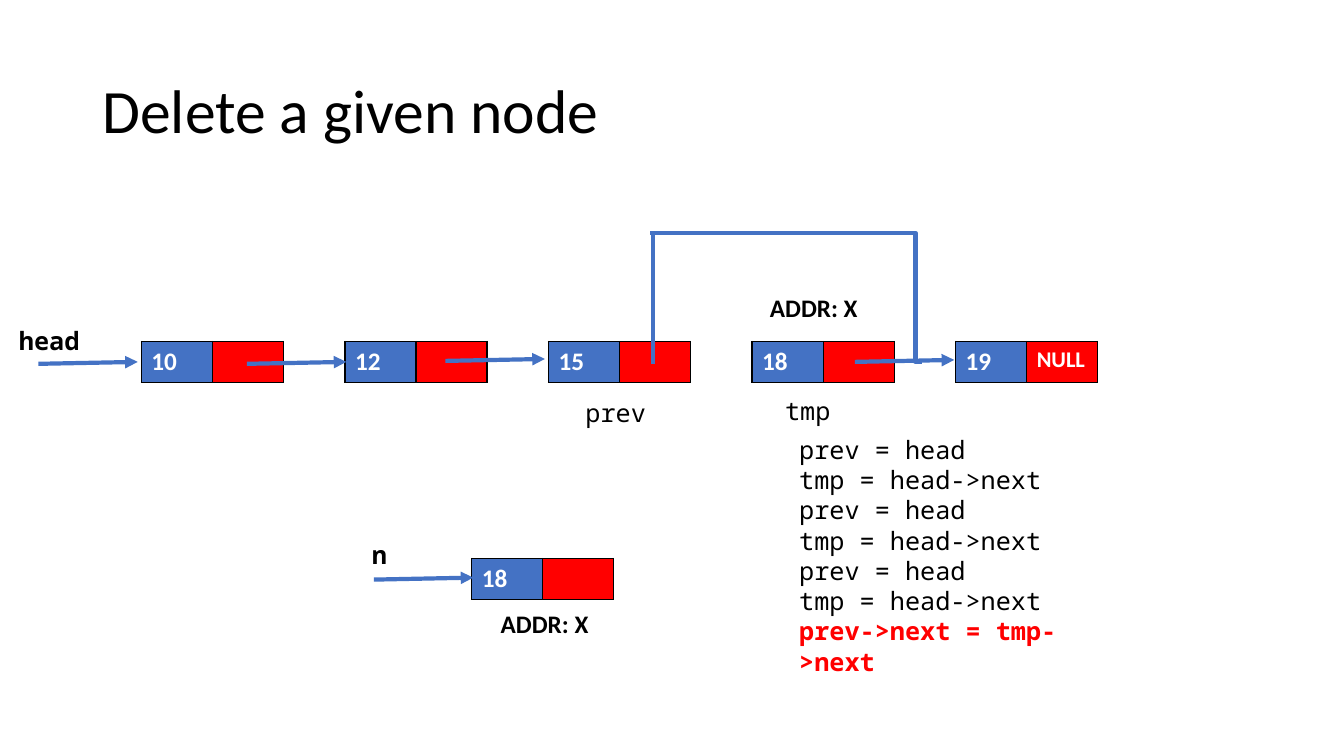
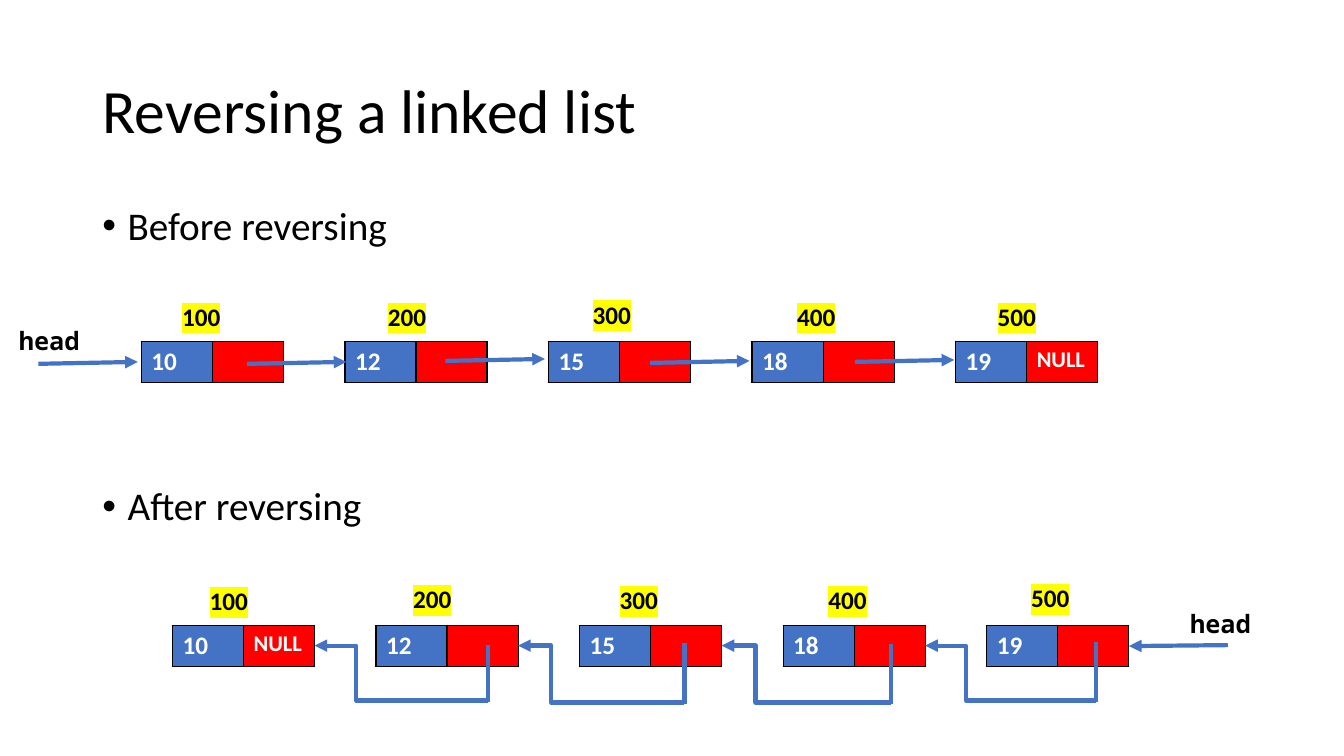
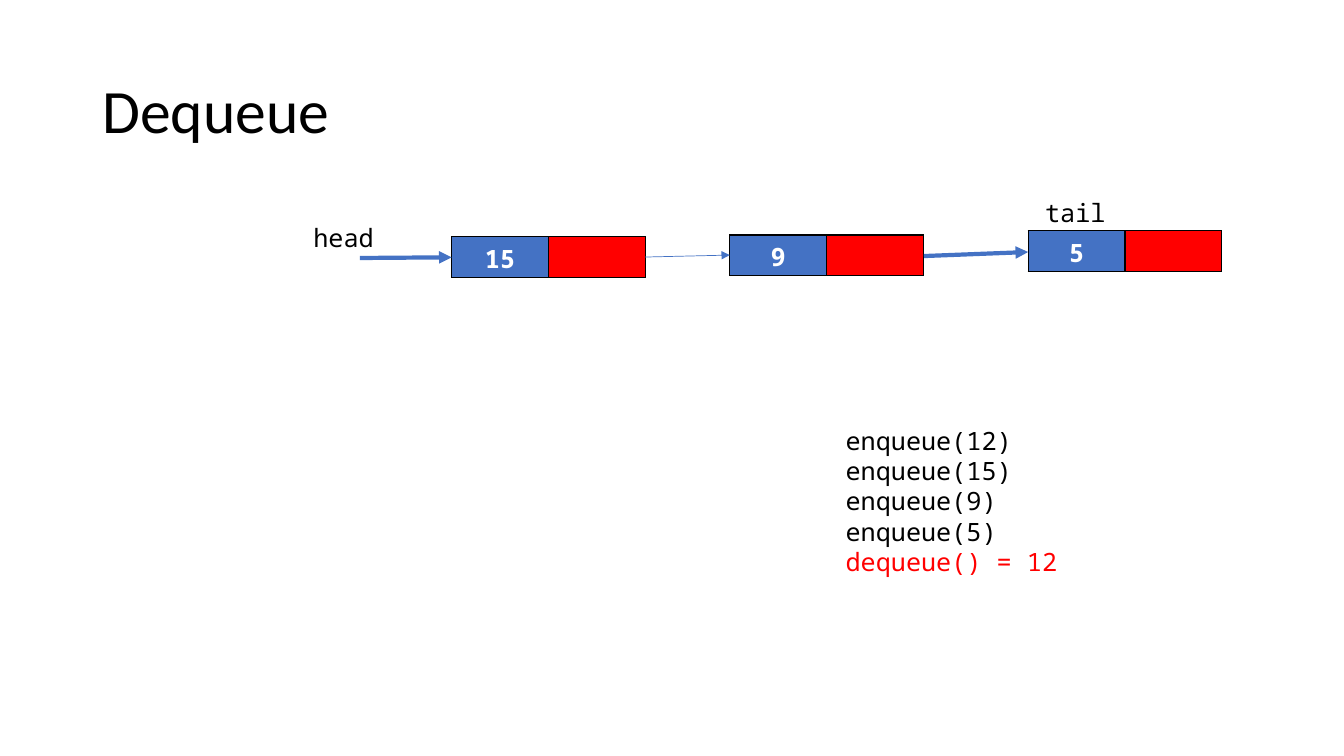
from dataclasses import dataclass
from typing import Optional, Sequence

from lxml.etree import SubElement
from pptx import Presentation
from pptx.dml.color import RGBColor
from pptx.enum.shapes import MSO_CONNECTOR
from pptx.enum.text import MSO_ANCHOR, MSO_AUTO_SIZE, PP_ALIGN
from pptx.oxml.ns import qn
from pptx.util import Pt

# Shared look
BLACK = RGBColor(0x00, 0x00, 0x00)
WHITE = RGBColor(0xFF, 0xFF, 0xFF)
BLUE = RGBColor(0x44, 0x72, 0xC4)
RED = RGBColor(0xFF, 0x00, 0x00)
YELLOW = RGBColor(0xFF, 0xFF, 0x00)
SANS = "Calibri"
MONO = "Noto Sans Mono"

# Shared measures, in points
NODE_WIDTH = 101.5
NODE_HEIGHT = 29.2
NODE_PITCH = 145.4
LIST_LEFT, LIST_TOP = 101, 243.9
REVERSED_LEFT, REVERSED_TOP = 123.2, 446.6
ARROW_LENGTH, ARROW_RISE = 71, 1.4
TITLE_ONLY, TITLE_AND_BODY = 5, 1


@dataclass(frozen=True)
class Node:
    left: float
    top: float
    value: str
    link: str = ""
    width: float = NODE_WIDTH


@dataclass(frozen=True)
class Label:
    left: float
    top: float
    width: float
    text: str


@dataclass(frozen=True)
class Arrow:
    start: tuple[float, float]
    end: tuple[float, float]
    weight: float = 3


@dataclass(frozen=True)
class BackLink:
    stem: float
    top: float
    floor: float
    bend: float


VALUES = ("10", "12", "15", "18", "19")
HEAD_ARROW = (27.4, 259.9)
LINK_ARROWS = ((176.4, 259.9), (318.2, 257.8), (464.4, 259.2), (610.6, 258.5))
ADDRESSES = ("100", "200", "300", "400", "500")
BEFORE_PLACES = ((123.1, 211.7), (270, 211.7), (416.2, 210.2),
                 (562.3, 211.7), (705.6, 211.7))
AFTER_PLACES = ((142.6, 414.7), (288, 413.3), (435.6, 414),
                (584.6, 414), (729.4, 412.6))
BACK_LINKS = (
    BackLink(348.5, 460.8, 500.4, 0.76),
    BackLink(488.9, 459.4, 501.8, 0.8),
    BackLink(636.5, 460.1, 501.8, 0.8),
    BackLink(782.6, 458.6, 500.4, 0.76),
)
QUEUE = (
    Node(322.6, 169.2, "15", width=138.4),
    Node(521.3, 167.8, "9", width=138.4),
    Node(734.4, 164.9, "5", width=138.4),
)
QUEUE_ARROWS = (
    Arrow((257, 184.3), (322.6, 183.8)),
    Arrow((460.8, 183.6), (521.3, 182.2), 0.5),
    Arrow((660, 182.9), (734.4, 180)),
)


def write_text(paragraph, text: str, *, size: float = 18, font: str = SANS,
               color: RGBColor = BLACK, bold: bool = False,
               highlight: Optional[RGBColor] = None) -> None:
    run = paragraph.add_run()
    run.text = text
    run.font.size = Pt(size)
    run.font.name = font
    run.font.bold = bold
    run.font.color.rgb = color
    if highlight is not None:
        properties = run.font._element
        mark = SubElement(properties, qn("a:highlight"))
        SubElement(mark, qn("a:srgbClr")).set("val", str(highlight))
        properties.find(qn("a:solidFill")).addnext(mark)


def add_text_frame(slide, left: float, top: float, width: float, height: float):
    box = slide.shapes.add_textbox(Pt(left), Pt(top), Pt(width), Pt(height))
    box.text_frame.word_wrap = True
    box.text_frame.auto_size = MSO_AUTO_SIZE.SHAPE_TO_FIT_TEXT
    return box.text_frame


def add_label(slide, label: Label, **text_format) -> None:
    frame = add_text_frame(slide, label.left, label.top, label.width, 29.1)
    write_text(frame.paragraphs[0], label.text, **text_format)


def add_code(slide, left: float, top: float, width: float, height: float,
             lines: Sequence[str], bold_last: bool = False) -> None:
    """Code listing whose last line is red."""
    frame = add_text_frame(slide, left, top, width, height)
    for index, line in enumerate(lines):
        paragraph = frame.paragraphs[0] if index == 0 else frame.add_paragraph()
        last = index == len(lines) - 1
        write_text(paragraph, line, font=MONO, color=RED if last else BLACK,
                   bold=last and bold_last)


def place(shape, left: float, top: float, width: float, height: float) -> None:
    shape.left, shape.top = Pt(left), Pt(top)
    shape.width, shape.height = Pt(width), Pt(height)


def add_slide(presentation, title: str, layout: int = TITLE_ONLY):
    slide = presentation.slides.add_slide(presentation.slide_layouts[layout])
    shape = slide.shapes.title
    place(shape, 66, 28.8, 828, 104.4)
    shape.text_frame.vertical_anchor = MSO_ANCHOR.MIDDLE
    paragraph = shape.text_frame.paragraphs[0]
    paragraph.alignment = PP_ALIGN.LEFT
    paragraph.line_spacing = 0.9
    write_text(paragraph, title, size=44)
    return slide


def fill_body(slide, items: Sequence[str], gap: float) -> None:
    body = slide.placeholders[1]
    place(body, 66, 144, 828, 342.7)
    frame = body.text_frame
    frame.auto_size = MSO_AUTO_SIZE.NONE
    for index, item in enumerate(items):
        paragraph = frame.paragraphs[0] if index == 0 else frame.add_paragraph()
        properties = paragraph._p.get_or_add_pPr()
        properties.set("marL", str(Pt(18)))
        properties.set("indent", str(-Pt(18)))
        SubElement(properties, qn("a:buFont")).set("typeface", "Arial")
        SubElement(properties, qn("a:buChar")).set("char", "•")
        paragraph.line_spacing = 0.9
        paragraph.space_before = Pt(gap if index else 0)
        write_text(paragraph, item, size=28)


def format_cell(cell, fill: RGBColor) -> None:
    properties = cell._tc.get_or_add_tcPr()
    for side in ("a:lnL", "a:lnR", "a:lnT", "a:lnB"):
        border = SubElement(properties, qn(side))
        border.set("w", str(Pt(1)))
        solid = SubElement(border, qn("a:solidFill"))
        SubElement(solid, qn("a:srgbClr")).set("val", str(BLACK))
    cell.fill.solid()
    cell.fill.fore_color.rgb = fill


def add_node(slide, node: Node, *, font: str = SANS,
             alignment: PP_ALIGN = PP_ALIGN.LEFT) -> None:
    """List node: a blue value cell and a red link cell."""
    table = slide.shapes.add_table(1, 2, Pt(node.left), Pt(node.top),
                                   Pt(node.width), Pt(NODE_HEIGHT)).table
    table.first_row = False
    table.horz_banding = False
    cells = ((node.value, BLUE, 18), (node.link, RED, 16))
    for column, (text, fill, size) in enumerate(cells):
        cell = table.cell(0, column)
        format_cell(cell, fill)
        if text:
            paragraph = cell.text_frame.paragraphs[0]
            paragraph.alignment = alignment
            write_text(paragraph, text, size=size, font=font, color=WHITE, bold=True)


def add_line(slide, start: tuple[float, float], end: tuple[float, float], *,
             weight: float = 3, arrow: bool = False,
             bend: Optional[float] = None) -> None:
    """Straight line, or an elbow that turns at the share given by bend."""
    kind = MSO_CONNECTOR.STRAIGHT if bend is None else MSO_CONNECTOR.ELBOW
    connector = slide.shapes.add_connector(
        kind, *(Pt(value) for value in (*start, *end)))
    connector.line.color.rgb = BLUE
    connector.line.width = Pt(weight)
    properties = connector._element.spPr
    if arrow:
        SubElement(properties.find(qn("a:ln")), qn("a:tailEnd")).set("type", "triangle")
    if bend is not None:
        geometry = properties.find(qn("a:prstGeom"))
        adjustments = geometry.find(qn("a:avLst"))
        if adjustments is None:
            adjustments = SubElement(geometry, qn("a:avLst"))
        guide = SubElement(adjustments, qn("a:gd"))
        guide.set("name", "adj1")
        guide.set("fmla", f"val {round(bend * 100000)}")
    SubElement(properties, qn("a:effectLst"))


def add_short_arrow(slide, start: tuple[float, float]) -> None:
    left, top = start
    add_line(slide, start, (left + ARROW_LENGTH, top - ARROW_RISE), arrow=True)


def add_node_row(slide, left: float, top: float, null_index: int) -> None:
    for index, value in enumerate(VALUES):
        link = "NULL" if index == null_index else ""
        add_node(slide, Node(left + index * NODE_PITCH, top, value, link))


def add_list(slide, arrow_starts: Sequence[tuple[float, float]]) -> None:
    """Five-node list with its head pointer."""
    add_node_row(slide, LIST_LEFT, LIST_TOP, null_index=4)
    for start in (HEAD_ARROW, *arrow_starts):
        add_short_arrow(slide, start)
    add_label(slide, Label(6.5, 229, 105.8, "head"), font=MONO, bold=True)


def build_delete_slide(presentation) -> None:
    slide = add_slide(presentation, "Delete a given node")
    add_list(slide, [start for index, start in enumerate(LINK_ARROWS) if index != 2])
    # Node to delete
    add_node(slide, Node(337, 398.9, "18"))
    add_label(slide, Label(258.5, 381.6, 105.8, "n"), font=MONO, bold=True)
    add_short_arrow(slide, (267.1, 414))
    for left, top in ((542.9, 205.2), (350.6, 430.6)):
        add_label(slide, Label(left, top, 78.5, "ADDR: X"), bold=True)
    # Walking pointers and code
    for label in (Label(411.1, 280.1, 80.6, "prev"), Label(553.7, 278.6, 80.6, "tmp")):
        add_label(slide, label, font=MONO)
    steps = ["prev = head", "tmp = head->next"] * 3
    add_code(slide, 563.8, 306.7, 241.9, 203.8,
             steps + ["prev->next = tmp->next"], bold_last=True)
    # Bypass around the deleted node
    add_line(slide, (466.6, 259.9), (466.6, 165.6))
    add_line(slide, (464.4, 166.3), (658.8, 258.5), bend=0.975)


def build_reverse_slide(presentation) -> None:
    slide = add_slide(presentation, "Reversing a linked list", TITLE_AND_BODY)
    fill_body(slide, ("Before reversing", "After reversing"), gap=170)
    add_list(slide, LINK_ARROWS)
    # Reversed list
    add_node_row(slide, REVERSED_LEFT, REVERSED_TOP, null_index=0)
    add_label(slide, Label(843.1, 430.6, 105.8, "head"), font=MONO, bold=True)
    add_line(slide, (877, 460.8), (806.4, 461.5), arrow=True)
    for index, link in enumerate(BACK_LINKS):
        node_right = REVERSED_LEFT + index * NODE_PITCH + NODE_WIDTH
        add_line(slide, (link.stem, link.top), (link.stem, link.floor + 1))
        add_line(slide, (link.stem, link.floor),
                 (node_right, REVERSED_TOP + NODE_HEIGHT / 2),
                 arrow=True, bend=link.bend)
    # Node addresses
    for places in (BEFORE_PLACES, AFTER_PLACES):
        for address, (left, top) in zip(ADDRESSES, places):
            add_label(slide, Label(left, top, 105.8, address),
                      bold=True, highlight=YELLOW)


def build_dequeue_slide(presentation) -> None:
    slide = add_slide(presentation, "Dequeue")
    for label in (Label(216.7, 155.5, 98.6, "head"), Label(739.4, 137.5, 98.6, "tail")):
        add_label(slide, label, font=MONO)
    add_code(slide, 596.9, 300.2, 239.8, 116.6,
             ("enqueue(12)", "enqueue(15)", "enqueue(9)", "enqueue(5)",
              "dequeue() = 12"))
    for node in QUEUE:
        add_node(slide, node, font=MONO, alignment=PP_ALIGN.CENTER)
    for arrow in QUEUE_ARROWS:
        add_line(slide, arrow.start, arrow.end, weight=arrow.weight, arrow=True)


def main() -> None:
    presentation = Presentation()
    presentation.slide_width, presentation.slide_height = Pt(960), Pt(540)
    build_delete_slide(presentation)
    build_reverse_slide(presentation)
    build_dequeue_slide(presentation)
    presentation.save("out.pptx")


if __name__ == "__main__":
    main()
